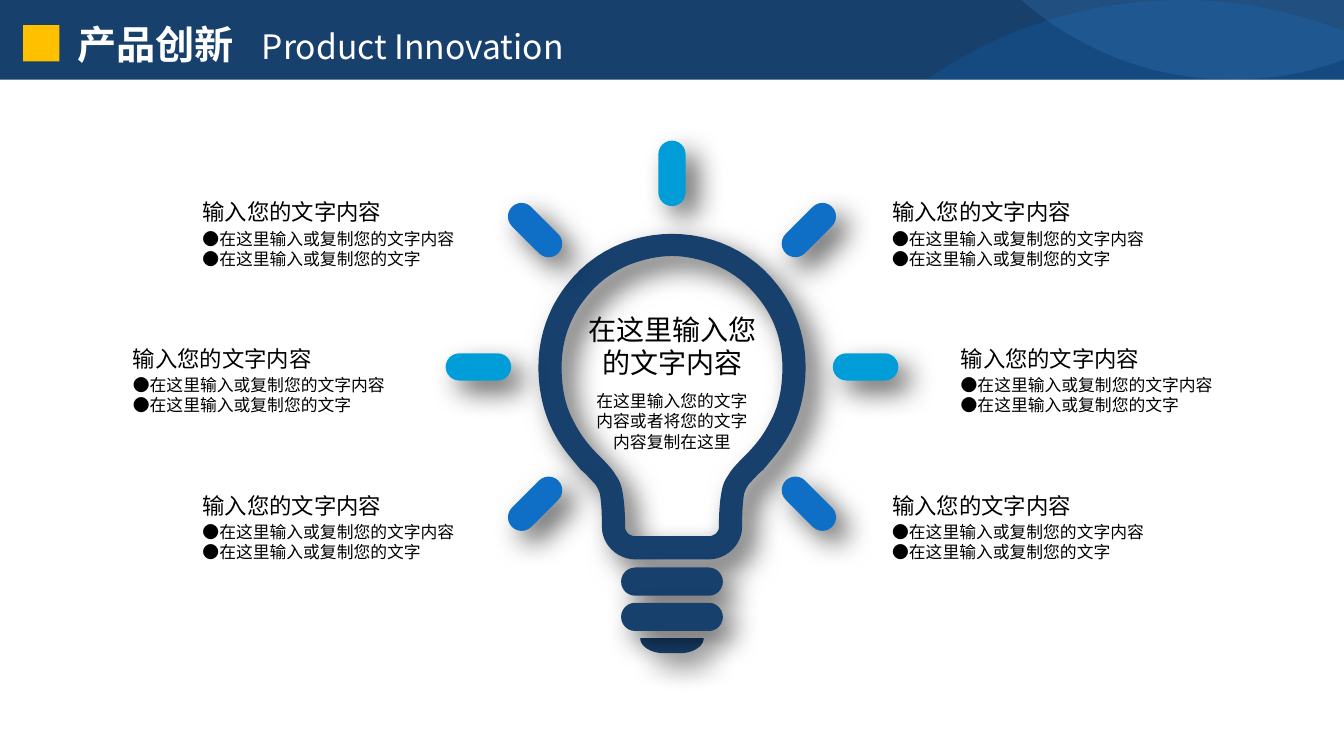
"""Build the product innovation slide with its light bulb."""
from math import cos, radians, sin
from lxml.etree import SubElement as Sub
from pptx import Presentation
from pptx.dml.color import RGBColor
from pptx.enum.shapes import MSO_SHAPE as Kind
from pptx.enum.text import MSO_AUTO_SIZE as Fit, PP_ALIGN as Align
from pptx.oxml import parse_xml
from pptx.oxml.ns import qn, nsdecls
from pptx.util import Inches, Pt

WIDE, FACE = 13.33, "Noto Sans CJK SC"
NAVY, BLUE, SKY, WHITE, BLACK = "17406D", "0F6FC6", "009DD9", "FFFFFF", "000000"
SHADE = (
    f'<a:effectLst {nsdecls("a")}><a:outerShdw blurRad="{Pt(20)}" dist="{Pt(12)}" '
    'dir="2700000" algn="tl" rotWithShape="0"><a:srgbClr val="000000">'
    '<a:alpha val="60000"/></a:srgbClr></a:outerShdw></a:effectLst>'
)


def trace(start, curves, steps=12):
    dots = [start]
    for x1, y1, x2, y2, x3, y3 in curves:
        x0, y0 = dots[-1]
        for i in range(1, steps + 1):
            t = i / steps
            u = 1 - t
            a, b, c, d = u**3, 3 * u * u * t, 3 * u * t * t, t**3
            dots.append((a * x0 + b * x1 + c * x2 + d * x3,
                         a * y0 + b * y1 + c * y2 + d * y3))
    return dots


def paint(shape, color, alpha=100, shade=True):
    shape.shadow.inherit = False
    shape.fill.solid()
    shape.fill.fore_color.rgb = RGBColor.from_string(color)
    shape.line.fill.background()
    props = shape.element.spPr
    if alpha < 100:
        tone = props.find(qn("a:solidFill"))[0]
        Sub(tone, qn("a:alpha"), val=str(alpha * 1000))
    if shade:
        props.replace(props.find(qn("a:effectLst")), parse_xml(SHADE))


deck = Presentation()
deck.slide_width, deck.slide_height = Inches(WIDE), Inches(7.5)
slide = deck.slides.add_slide(deck.slide_layouts[6])
shapes = slide.shapes

band = shapes.add_shape(Kind.RECTANGLE, 0, 0, Inches(WIDE), Inches(0.79))
paint(band, NAVY, shade=False)

hill = trace((9.19, 0.79), [(9.91, 0.29, 10.78, 0, 11.71, 0),
                            (12.28, 0, 12.83, 0.11, WIDE, 0.31)])
bowl = trace((10.13, 0), [(10.69, 0.49, 11.42, 0.79, 12.22, 0.79),
                          (12.61, 0.79, 12.99, 0.72, WIDE, 0.59)])
outer = trace((6.67, 2.32), [
    (6.27, 2.32, 5.87, 2.49, 5.61, 2.84), (5.44, 3.06, 5.34, 3.34, 5.34, 3.64),
    (5.34, 3.85, 5.38, 4.03, 5.44, 4.18), (5.53, 4.4, 5.66, 4.54, 5.76, 4.66),
    (5.82, 4.71, 5.86, 4.76, 5.9, 4.8), (5.93, 4.84, 5.94, 4.87, 5.95, 4.9),
    (5.97, 5.02, 5.97, 5.18, 5.97, 5.23), (5.97, 5.4, 6.12, 5.55, 6.3, 5.55)])
inner = trace((6.67, 2.54), [
    (6.56, 2.54, 6.45, 2.56, 6.35, 2.59), (6.13, 2.65, 5.93, 2.79, 5.79, 2.98),
    (5.65, 3.16, 5.57, 3.39, 5.57, 3.64), (5.57, 3.89, 5.62, 4.06, 5.7, 4.2),
    (5.77, 4.34, 5.86, 4.44, 5.95, 4.53), (6.01, 4.59, 6.07, 4.65, 6.11, 4.72),
    (6.14, 4.76, 6.16, 4.81, 6.17, 4.86), (6.2, 5.01, 6.2, 5.17, 6.2, 5.23),
    (6.2, 5.28, 6.25, 5.32, 6.3, 5.32)])
foot = trace((6.35, 6.33), [(6.35, 6.42, 6.47, 6.48, 6.58, 6.48)])
outer, inner, foot = [half + [(WIDE - x, y) for x, y in reversed(half)]
                      for half in (outer, inner, foot)]

for rings, color, alpha, shade in [
    ([hill + [(WIDE, 0.79)]], BLUE, 23, False),
    ([bowl + [(WIDE, 0)]], "59AAF2", 15, False),
    ([outer, inner[::-1]], NAVY, 100, True),
    ([foot], NAVY, 100, True),
]:
    pen = None
    for ring in rings:
        dots = [(Inches(x), Inches(y)) for x, y in ring]
        if pen is None:
            pen = shapes.build_freeform(*dots[0])
        else:
            pen.move_to(*dots[0])
        pen.add_line_segments(dots[1:], close=True)
    paint(pen.convert_to_shape(), color, alpha, shade)

mark = shapes.add_shape(Kind.RECTANGLE, *map(Inches, (0.23, 0.25, 0.36, 0.36)))
paint(mark, "FFC000", shade=False)

pills = [(WIDE / 2, y, 1.01, 0.28, 0, NAVY) for y in (5.77, 6.12)]
for turn in range(-135, 136, 45):
    arc = radians(turn)
    pills.append((WIDE / 2 + 1.92 * sin(arc), 3.64 - 1.92 * cos(arc),
                  0.27, 0.65, turn, BLUE if turn % 90 else SKY))
for x, y, w, h, turn, color in pills:
    pill = shapes.add_shape(Kind.ROUNDED_RECTANGLE,
                            *map(Inches, (x - w / 2, y - h / 2, w, h)))
    pill.adjustments[0] = 0.5
    pill.rotation = turn
    paint(pill, color)

head = {"size": Pt(28), "bold": True}
sub = {"size": Pt(24), "bold": False}
lead, note, body = ({"size": Pt(n)} for n in (20, 16, 12))
texts = [
    (0.67, 0.15, 7.27, 0.57, Align.LEFT, WHITE,
     [[("产品创新", head), ("\tProduct Innovation", sub)]]),
    (5.69, 3.05, 1.96, 0.77, Align.CENTER, BLACK,
     [[("在这里输入您", lead)], [("的文字内容", lead)]]),
    (5.79, 3.83, 1.75, 0.71, Align.CENTER, BLACK,
     [[("在这里输入您的文字内容或者将您的文字内容复制在这里", body)]]),
]
for y, left, right in [(1.92, 1.91, 8.75), (3.37, 1.22, 9.43), (4.83, 1.91, 8.75)]:
    for x in (left, right):
        texts += [
            (x, y + 0.3, 2.78, 0.5, Align.LEFT, BLACK,
             [[("●在这里输入或复制您的文字内容", body)],
              [("●在这里输入或复制您的文字", body)]]),
            (x, y, 2.78, 0.37, Align.LEFT, BLACK, [[("输入您的文字内容", note)]]),
        ]

for x, y, w, h, align, color, lines in texts:
    frame = shapes.add_textbox(*map(Inches, (x, y, w, h))).text_frame
    frame.word_wrap, frame.auto_size = True, Fit.SHAPE_TO_FIT_TEXT
    for i, line in enumerate(lines):
        para = frame.add_paragraph() if i else frame.paragraphs[0]
        para.alignment = align
        if len(line) > 1:
            tabs = Sub(para._p.get_or_add_pPr(), qn("a:tabLst"))
            Sub(tabs, qn("a:tab"), pos=str(Inches(1.83)), algn="l")
        for words, style in line:
            run = para.add_run()
            run.text = words
            for key, value in {"name": FACE, **style}.items():
                setattr(run.font, key, value)
            run.font.color.rgb = RGBColor.from_string(color)
            Sub(run._r.rPr, qn("a:ea"), typeface=FACE)

deck.save("out.pptx")
